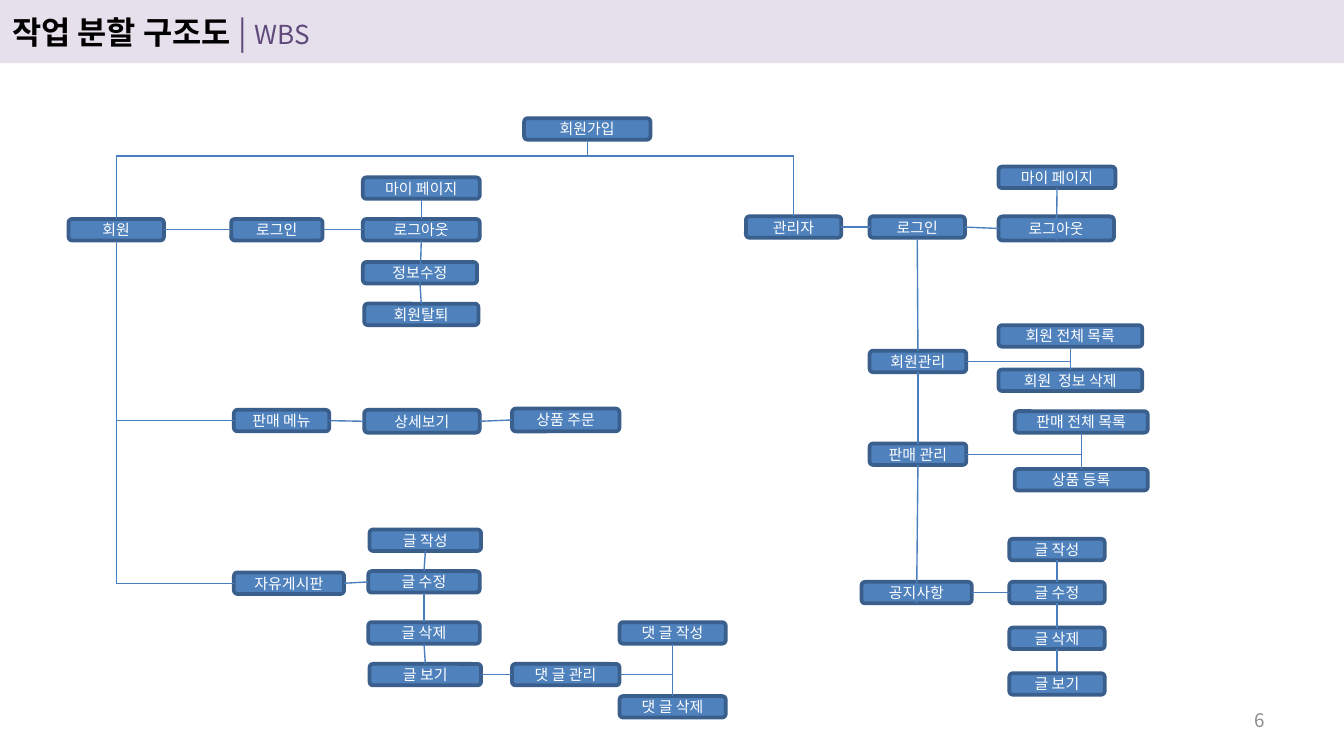
from typing import NamedTuple

from lxml import etree
from pptx import Presentation
from pptx.dml.color import RGBColor
from pptx.enum.shapes import MSO_CONNECTOR, MSO_SHAPE as Shape
from pptx.enum.text import MSO_ANCHOR as Anchor, PP_ALIGN as Align
from pptx.oxml.ns import qn
from pptx.util import Inches, Pt

FONT = "Noto Sans CJK KR"
BUS_Y = 1.16  # horizontal line that joins both branches


class Node(NamedTuple):
    label: str
    left: float
    top: float
    width: float
    height: float = 0.16

    @property
    def right(self) -> float:
        return self.left + self.width

    @property
    def bottom(self) -> float:
        return self.top + self.height

    @property
    def center(self) -> float:
        return self.left + self.width / 2

    @property
    def middle(self) -> float:
        return self.top + self.height / 2


def color(value: str) -> RGBColor:
    return RGBColor.from_string(value)


def style_font(font, size: float, hex_color: str, bold: bool = False) -> None:
    font.name, font.size, font.bold = FONT, Pt(size), bold
    font.color.rgb = color(hex_color)
    etree.SubElement(font._rPr, qn("a:ea"), typeface=FONT)


def draw_node(node: Node) -> None:
    box = slide.shapes.add_shape(
        Shape.ROUNDED_RECTANGLE, *map(Inches, node[1:]))
    box.shadow.inherit = False
    box.fill.solid()
    box.fill.fore_color.rgb = color("4F81BD")
    box.line.color.rgb = color("3A5F8C")
    box.line.width = Pt(2)
    frame = box.text_frame
    frame.margin_left = frame.margin_right = 0
    frame.margin_top = frame.margin_bottom = 0
    frame.vertical_anchor = Anchor.MIDDLE
    paragraph = frame.paragraphs[0]
    paragraph.text = node.label
    paragraph.alignment = Align.CENTER
    style_font(paragraph.font, 8, "FFFFFF")


def draw_line(x1: float, y1: float, x2: float, y2: float) -> None:
    line = slide.shapes.add_connector(
        MSO_CONNECTOR.STRAIGHT, *map(Inches, (x1, y1, x2, y2)))
    line.line.color.rgb = color("4B7EBC")
    line.line.width = Pt(0.75)
    etree.SubElement(line._element.spPr, qn("a:effectLst"))


def link_across(*chain: Node) -> None:
    for a, b in zip(chain, chain[1:]):
        draw_line(a.right, a.middle, b.left, b.middle)


def link_down(*chain: Node, through: bool = False) -> None:
    """Join stacked nodes; a through line runs on to the lower edge."""
    for a, b in zip(chain, chain[1:]):
        draw_line(a.center, a.bottom, b.center, b.bottom if through else b.top)


def link_pair(parent: Node, upper: Node, lower: Node) -> None:
    link_down(upper, lower)
    draw_line(parent.right, parent.middle, upper.center, parent.middle)


# Widescreen slide, 16:9
deck = Presentation()
deck.slide_width = Inches(10)
deck.slide_height = Inches(10 * 9 / 16)
slide = deck.slides.add_slide(deck.slide_layouts[6])

# Title bar
bar = slide.shapes.add_shape(
    Shape.RECTANGLE, 0, 0, deck.slide_width, Inches(0.47))
bar.shadow.inherit = False
bar.fill.solid()
bar.fill.fore_color.rgb = color("E6E0EC")
bar.line.fill.background()
bar.text_frame.margin_left = bar.text_frame.margin_right = Inches(0.09)
bar.text_frame.margin_top = bar.text_frame.margin_bottom = Inches(0.04)
bar.text_frame.vertical_anchor = Anchor.MIDDLE
title = bar.text_frame.paragraphs[0]
title.alignment = Align.LEFT
for words, size, hex_color, bold in (
        ("작업 분할 구조도 ", 17, "000000", True),
        ("| ", 17, "604A7B", False),
        ("WBS", 14, "604A7B", False)):
    run = title.add_run()
    run.text = words
    style_font(run.font, size, hex_color, bold)

# Page number
page_box = slide.shapes.add_textbox(
    Inches(7.17), Inches(5.21), Inches(2.33), Inches(0.3)).text_frame
page_box.word_wrap = True
page_box.margin_left = page_box.margin_right = Inches(0.09)
page_box.margin_top = page_box.margin_bottom = Inches(0.04)
page_box.vertical_anchor = Anchor.MIDDLE
page = page_box.paragraphs[0]
page.text = "6"
page.alignment = Align.RIGHT
style_font(page.font, 10, "8C8C8C")

# Member branch
signup = Node("회원가입", 3.9, 0.88, 0.94)
member = Node("회원", 0.51, 1.63, 0.71)
account = [Node("로그인", 1.72, 1.63, 0.68),
           Node("로그아웃", 2.7, 1.63, 0.87)]
my_page = Node("마이 페이지", 2.7, 1.32, 0.87)
edit_info = Node("정보수정", 2.7, 1.95, 0.85)
withdraw = Node("회원탈퇴", 2.71, 2.26, 0.85)
shop = [Node("판매 메뉴", 1.74, 3.05, 0.71),
        Node("상세보기", 2.71, 3.05, 0.86, 0.17),
        Node("상품 주문", 3.81, 3.04, 0.8, 0.17)]
board = Node("자유게시판", 1.74, 4.26, 0.82)
posts = [Node("글 작성", 2.75, 3.94, 0.83),
         Node("글 수정", 2.74, 4.25, 0.83),
         Node("글 삭제", 2.74, 4.63, 0.83),
         Node("글 보기", 2.75, 4.94, 0.83)]
comments = Node("댓 글 관리", 3.81, 4.94, 0.8)
comment_tasks = [Node("댓 글 작성", 4.61, 4.63, 0.79),
                 Node("댓 글 삭제", 4.61, 5.18, 0.79)]

# Administrator branch
admin = [Node("관리자", 5.55, 1.61, 0.71),
         Node("로그인", 6.47, 1.61, 0.71),
         Node("로그아웃", 7.43, 1.61, 0.86, 0.18)]
admin_page = Node("마이 페이지", 7.43, 1.24, 0.87)
members = Node("회원관리", 6.47, 2.61, 0.72)
member_tasks = [Node("회원 전체 목록", 7.43, 2.42, 1.07),
                Node("회원  정보 삭제", 7.43, 2.75, 1.07)]
sales = Node("판매 관리", 6.47, 3.3, 0.72)
sales_tasks = [Node("판매 전체 목록", 7.55, 3.06, 0.99),
               Node("상품 등록", 7.55, 3.49, 0.99)]
notice = Node("공지사항", 6.41, 4.33, 0.82)
notice_tasks = [Node(post.label, 7.51, top, 0.71)
                for post, top in zip(posts, (4.01, 4.33, 4.67, 5.01))]

for node in (signup, member, *account, my_page, edit_info, withdraw, *shop,
             board, *posts, comments, *comment_tasks, *admin, admin_page,
             members, *member_tasks, sales, *sales_tasks, notice,
             *notice_tasks):
    draw_node(node)

# Lines from the root to both branches
draw_line(signup.center, signup.bottom, signup.center, BUS_Y)
for head in (member, admin[0]):
    draw_line(signup.center, BUS_Y, head.center, BUS_Y)
    draw_line(head.center, BUS_Y, head.center, head.top)

# Member lines
draw_line(member.center, member.bottom, member.center, board.middle)
for entry in (shop[0], board):
    draw_line(entry.left, entry.middle, member.center, entry.middle)
link_across(member, *account)
link_across(*shop)
link_across(board, posts[1])
link_across(posts[3], comments)
link_down(my_page, account[1])
link_down(account[1], edit_info, through=True)
link_down(edit_info, withdraw)
link_down(*posts)
link_pair(comments, *comment_tasks)

# Administrator lines
link_across(*admin)
link_across(notice, notice_tasks[1])
link_down(admin_page, admin[2], through=True)
link_down(admin[1], members, sales)
link_down(sales, notice, through=True)
link_down(*notice_tasks)
link_pair(members, *member_tasks)
link_pair(sales, *sales_tasks)

deck.save("out.pptx")
